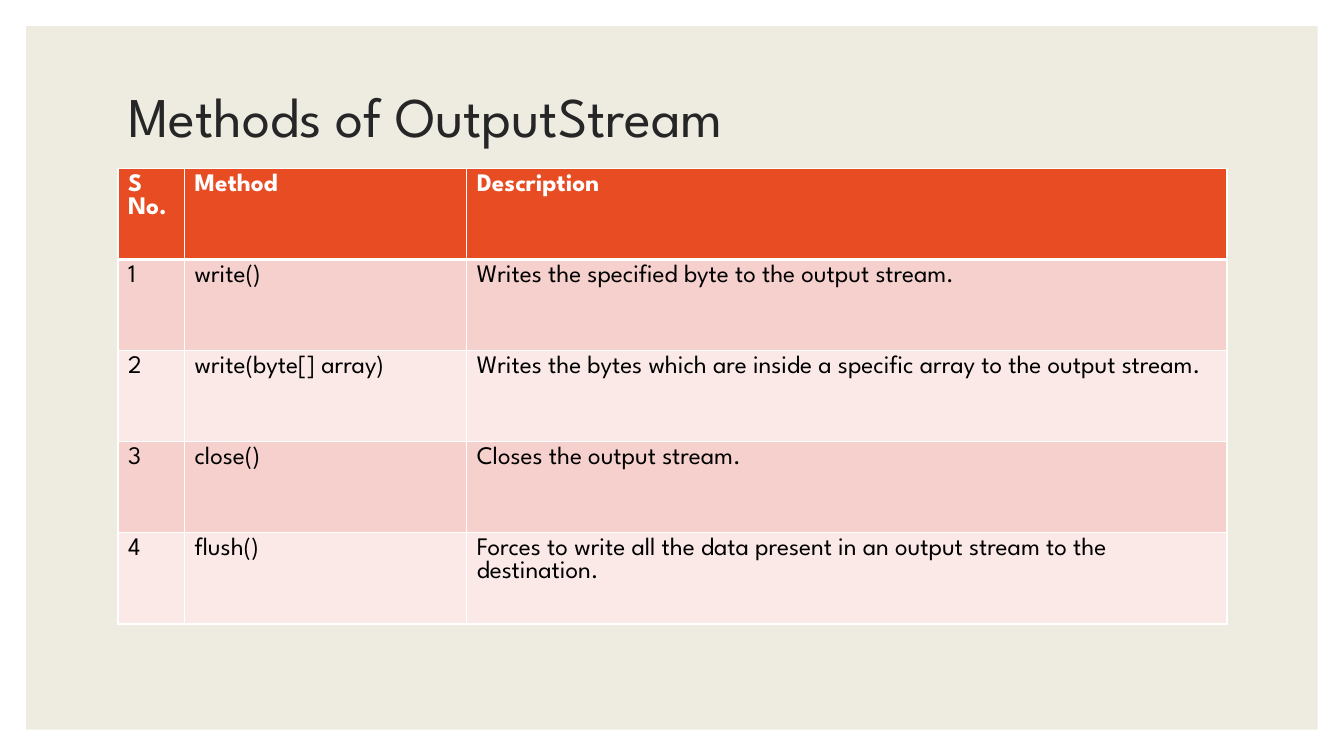
from lxml.etree import SubElement
from pptx import Presentation
from pptx.dml.color import RGBColor
from pptx.enum.shapes import MSO_SHAPE
from pptx.enum.text import MSO_ANCHOR, MSO_AUTO_SIZE, PP_ALIGN
from pptx.oxml.ns import qn
from pptx.util import Inches, Pt

WIDTH, HEIGHT = Inches(13.33), Inches(7.5)
MARGIN = Inches(0.26)
CONTENT_LEFT, CONTENT_WIDTH = Inches(1.17), Inches(11)
TITLE_TOP, TITLE_HEIGHT = Inches(0.7), Inches(0.96)
TABLE_TOP, TABLE_HEIGHT = Inches(1.67), Inches(4.52)
COLUMN_SHARES = (0.06, 0.2545, 0.6855)
FONT = "League Spartan"
COLORS = {
    "background": "FFFFFF",
    "panel": "EEECE1",
    "title": "262626",
    "header": "E84C22",
    "header_text": "FFFFFF",
    "odd_row": "F6D0CD",
    "even_row": "FBE9E8",
    "body_text": "000000",
    "border": "FFFFFF",
}
METHODS = [
    ("S\nNo.", "Method", "Description"),
    ("1", "write()", "Writes the specified byte to the output stream."),
    ("2", "write(byte[] array)",
     "Writes the bytes which are inside a specific array to the output stream."),
    ("3", "close()", "Closes the output stream."),
    ("4", "flush()",
     "Forces to write all the data present in an output stream to the destination."),
]


def paint(fill, color):
    fill.solid()
    fill.fore_color.rgb = RGBColor.from_string(COLORS[color])


def write_text(frame, text, size=18, color="body_text", bold=False, spacing=None):
    frame.text = text
    for paragraph in frame.paragraphs:
        paragraph.alignment = PP_ALIGN.LEFT
        paragraph.line_spacing = spacing
        for run in paragraph.runs:
            run.font.name = FONT
            run.font.size = Pt(size)
            run.font.bold = bold
            run.font.color.rgb = RGBColor.from_string(COLORS[color])


def add_panel(slide):
    panel = slide.shapes.add_shape(
        MSO_SHAPE.RECTANGLE, MARGIN, MARGIN, WIDTH - 2 * MARGIN, HEIGHT - 2 * MARGIN)
    panel.shadow.inherit = False
    panel.line.fill.background()
    paint(panel.fill, "panel")
    slide.shapes.title.element.addprevious(panel.element)


def set_title(slide, text):
    title = slide.shapes.title
    title.left, title.top = CONTENT_LEFT, TITLE_TOP
    title.width, title.height = CONTENT_WIDTH, TITLE_HEIGHT
    frame = title.text_frame
    frame.word_wrap = True
    frame.auto_size = MSO_AUTO_SIZE.NONE
    frame.vertical_anchor = MSO_ANCHOR.MIDDLE
    write_text(frame, text, size=40, color="title", spacing=0.9)


def set_borders(cell, **widths):
    properties = cell.fill._xPr
    for index, side in enumerate(("L", "R", "T", "B")):
        border = properties.makeelement(
            qn(f"a:ln{side}"), {"w": str(Pt(widths.get(side, 1)))})
        fill = SubElement(border, qn("a:solidFill"))
        SubElement(fill, qn("a:srgbClr"), val=COLORS["border"])
        properties.insert(index, border)


def add_method_table(slide, rows):
    table = slide.shapes.add_table(
        len(rows), len(COLUMN_SHARES), CONTENT_LEFT, TABLE_TOP,
        CONTENT_WIDTH, TABLE_HEIGHT).table
    for column, share in zip(table.columns, COLUMN_SHARES):
        column.width = int(CONTENT_WIDTH * share)
    for number, row in enumerate(rows):
        header = number == 0
        band = "header" if header else "odd_row" if number % 2 else "even_row"
        for column, text in enumerate(row):
            cell = table.cell(number, column)
            paint(cell.fill, band)
            set_borders(cell, T=3 if number == 1 else 1, B=3 if header else 1)
            write_text(cell.text_frame, text, bold=header,
                       color="header_text" if header else "body_text")


def main():
    presentation = Presentation()
    presentation.slide_width, presentation.slide_height = WIDTH, HEIGHT
    slide = presentation.slides.add_slide(
        presentation.slide_layouts.get_by_name("Title Only"))
    paint(slide.background.fill, "background")
    add_panel(slide)
    set_title(slide, "Methods of OutputStream")
    add_method_table(slide, METHODS)
    presentation.save("out.pptx")


if __name__ == "__main__":
    main()
